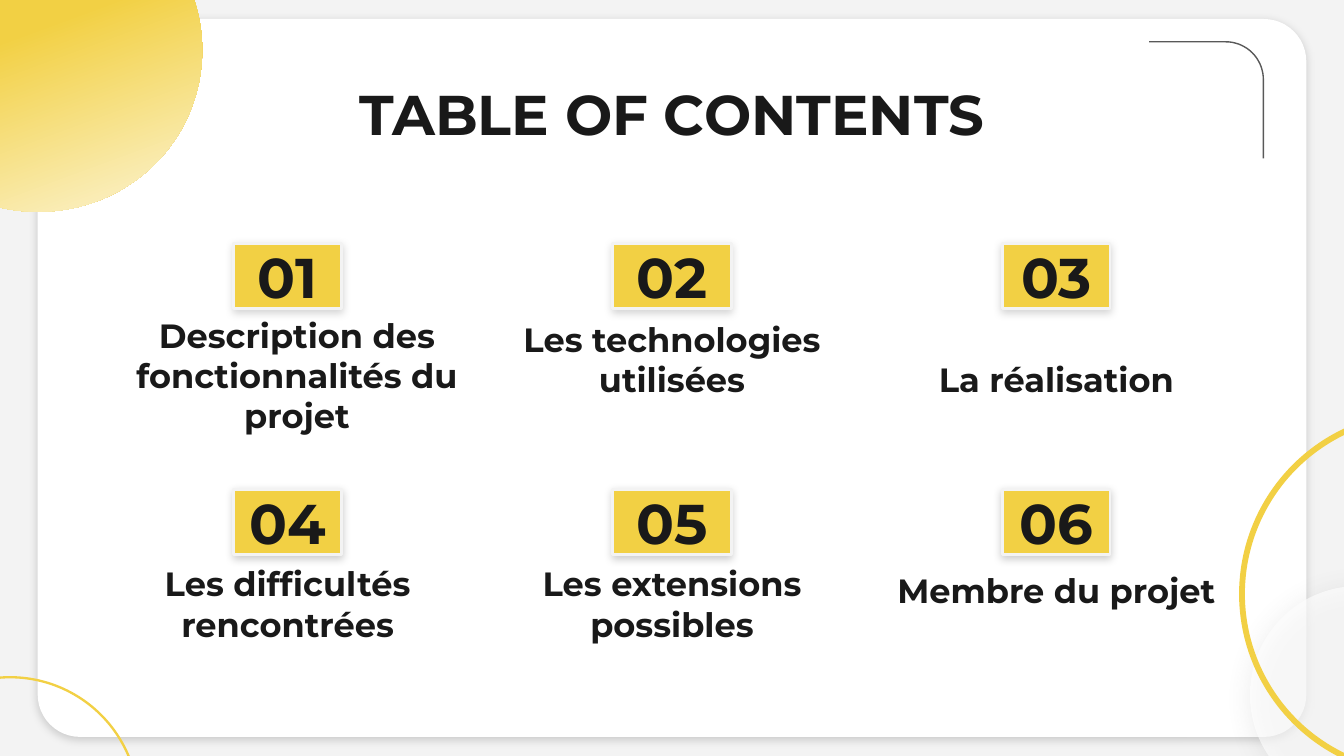
"""Builds a table of contents slide with six numbered entries."""
from math import cos, radians, sin

from lxml.etree import SubElement
from pptx import Presentation
from pptx.dml.color import RGBColor
from pptx.enum.shapes import MSO_SHAPE as Shape
from pptx.enum.text import MSO_ANCHOR as Anchor, PP_ALIGN as Align
from pptx.oxml.ns import qn
from pptx.util import Pt

YELLOW, WHITE, PALE, GREY, INK = "F2D044", "FFFFFF", "F3F3F3", "595959", "191919"
FONT = "Montserrat"
TITLE = "TABLE OF CONTENTS"
ENTRIES = [
    {"number": "01", "caption": "Description des fonctionnalités du projet", "dx": 5, "dy": 19.4},
    {"number": "02", "caption": "Les technologies utilisées", "dx": 0, "dy": 0},
    {"number": "03", "caption": "La réalisation", "dx": 0, "dy": 0},
    {"number": "04", "caption": "Les difficultés rencontrées", "dx": 0, "dy": 0},
    {"number": "05", "caption": "Les extensions possibles", "dx": 0, "dy": 0},
    {"number": "06", "caption": "Membre du projet", "dx": 0, "dy": -18},
]
COLUMNS = [(154.1, 57.6), (360, 63.4), (565.9, 57.6)]
ROWS = [{"top": 130.5, "caption": 167.8, "shade": 17}, {"top": 262.3, "caption": 298.8, "shade": 20}]
NUMBER_HEIGHT = 35
CAPTION_WIDTH, CAPTION_HEIGHT = 195.8, 53.3
RINGS = [(663.8, 220.3, 195.8, 0.016), (-64.1, 362.2, 139, 0.009)]
GRADIENT = [(0, YELLOW), (47, YELLOW), (100, WHITE)]


def color(code):
    return RGBColor.from_string(code)


def add_color(parent, code, alpha=None):
    node = SubElement(parent, qn("a:srgbClr"), val=code)
    if alpha is not None:
        SubElement(node, qn("a:alpha"), val=str(alpha * 1000))


def add_shape(page, kind, left, top, width, height, fill=None, line=None):
    shape = page.shapes.add_shape(kind, Pt(left), Pt(top), Pt(width), Pt(height))
    if fill:
        shape.fill.solid()
        shape.fill.fore_color.rgb = color(fill)
    if line:
        shape.line.color.rgb = color(line)
        shape.line.width = Pt(1.5)
    else:
        shape.line.fill.background()
    shape.shadow.inherit = False
    return shape


def add_shadow(shape, code, alpha, blur=4.5, distance=1.5, angle=90):
    effects = shape.element.spPr.find(qn("a:effectLst"))
    shadow = SubElement(effects, qn("a:outerShdw"), blurRad=str(Pt(blur)), dist=str(Pt(distance)),
                        dir=str(angle * 60000), algn="bl", rotWithShape="0")
    add_color(shadow, code, alpha)


def add_gradient(shape, stops, angle):
    properties = shape.element.spPr
    gradient = SubElement(properties, qn("a:gradFill"), rotWithShape="1")
    properties.find(qn("a:prstGeom")).addnext(gradient)
    stop_list = SubElement(gradient, qn("a:gsLst"))
    for position, code in stops:
        add_color(SubElement(stop_list, qn("a:gs"), pos=str(position * 1000)), code)
    SubElement(gradient, qn("a:lin"), ang=str(angle * 60000), scaled="0")


def write(shape, text, size, anchor, wrap=True):
    frame = shape.text_frame
    frame.word_wrap = wrap
    frame.vertical_anchor = anchor
    frame.margin_left = frame.margin_right = frame.margin_top = frame.margin_bottom = Pt(7.2)
    para = frame.paragraphs[0]
    para.alignment = Align.CENTER
    span = para.add_run()
    span.text = text
    span.font.name, span.font.size, span.font.bold = FONT, Pt(size), True
    span.font.color.rgb = color(INK)


def add_text(page, text, left, top, width, height, size, anchor):
    box = page.shapes.add_textbox(Pt(left), Pt(top), Pt(width), Pt(height))
    write(box, text, size, anchor)


def add_corner(page, left, top, right, bottom, radius):
    arc = [(right - radius + radius * sin(radians(step)), top + radius - radius * cos(radians(step)))
           for step in range(0, 91, 5)]
    builder = page.shapes.build_freeform(Pt(left), Pt(top))
    builder.add_line_segments([(Pt(x), Pt(y)) for x, y in arc + [(right, bottom)]], close=False)
    corner = builder.convert_to_shape()
    corner.fill.background()
    corner.line.color.rgb = color(GREY)
    corner.line.width = Pt(0.75)
    corner.shadow.inherit = False


def add_backdrop(page):
    page.background.fill.solid()
    page.background.fill.fore_color.rgb = color(PALE)
    card = add_shape(page, Shape.ROUNDED_RECTANGLE, 20.2, 10.2, 679.6, 384.6, WHITE)
    card.adjustments[0] = 0.059
    add_shadow(card, "000000", 17)
    bubble = add_shape(page, Shape.OVAL, 669.6, 313.9, 116.6, 116.6, WHITE)
    bubble.rotation = 257.6
    glass = bubble.element.spPr.find(qn("a:solidFill")).find(qn("a:srgbClr"))
    SubElement(glass, qn("a:alpha"), val="62000")
    add_shadow(bubble, GREY, 19, 14.6, 2.2, 74)
    for left, top, size, thickness in RINGS:
        ring = add_shape(page, Shape.DONUT, left, top, size, size, YELLOW)
        ring.adjustments[0] = thickness
    add_corner(page, 615.6, 22.4, 676.8, 84.8, 20.2)


def add_entry(page, index, entry):
    row, (center, width) = ROWS[index // len(COLUMNS)], COLUMNS[index % len(COLUMNS)]
    badge = add_shape(page, Shape.RECTANGLE, center - width / 2, row["top"], width, NUMBER_HEIGHT,
                      YELLOW, PALE)
    add_shadow(badge, "000000", row["shade"])
    write(badge, entry["number"], 30, Anchor.MIDDLE, wrap=False)
    add_text(page, entry["caption"], center - CAPTION_WIDTH / 2 + entry["dx"],
             row["caption"] + entry["dy"], CAPTION_WIDTH, CAPTION_HEIGHT, 18, Anchor.BOTTOM)


def main():
    deck = Presentation()
    deck.slide_width, deck.slide_height = Pt(720), Pt(405)
    page = deck.slides.add_slide(deck.slide_layouts[6])
    add_backdrop(page)
    add_text(page, TITLE, 56.7, 35.3, 606.6, 45.4, 30, Anchor.TOP)
    for index, entry in enumerate(ENTRIES):
        add_entry(page, index, entry)
    sun = add_shape(page, Shape.OVAL, -71.3, -62.6, 180, 175.7)
    sun.rotation = 204.8
    add_gradient(sun, GRADIENT, 225)
    deck.save("out.pptx")


if __name__ == "__main__":
    main()
